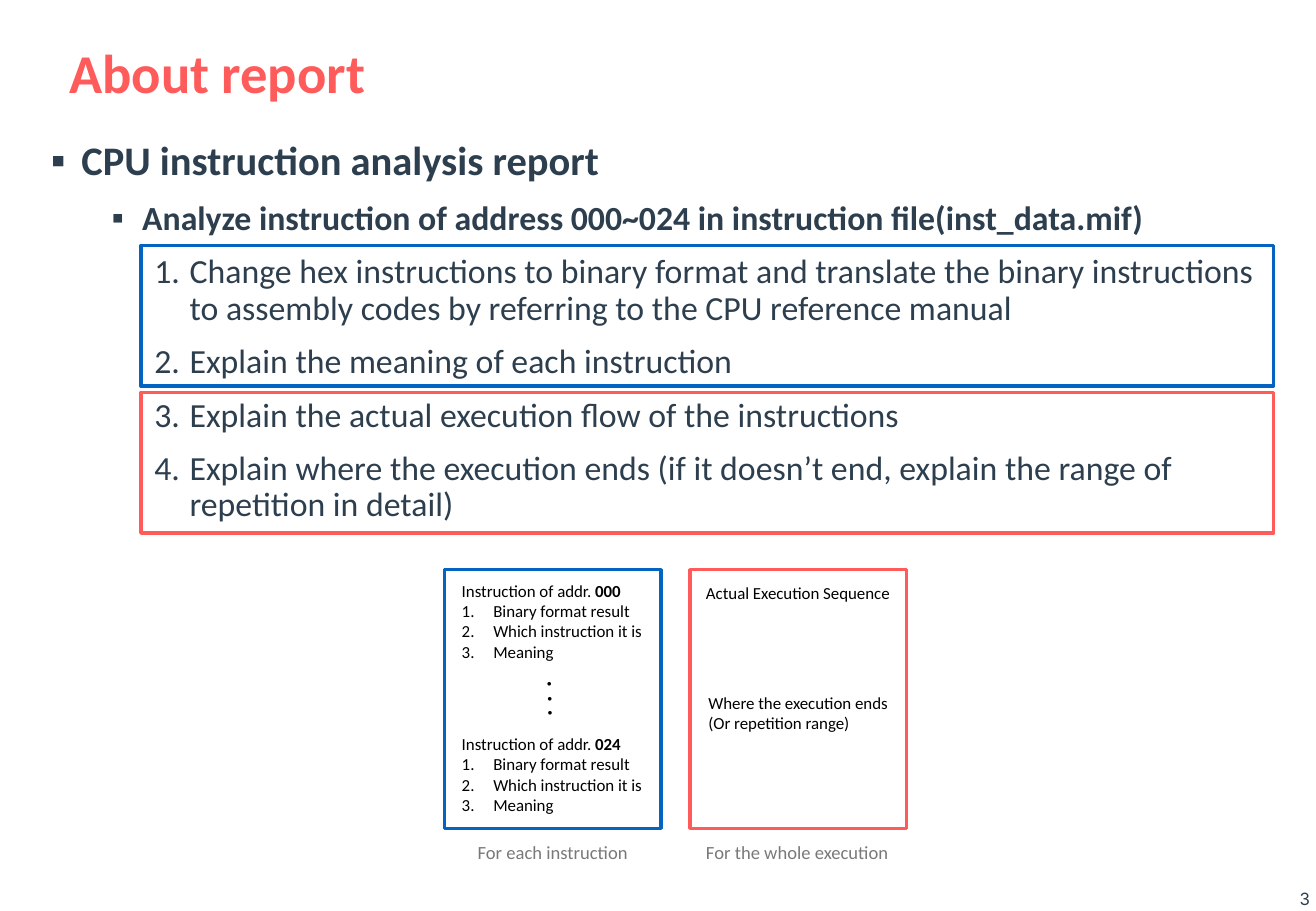
"""Build the "About report" slide."""
from lxml.etree import SubElement
from pptx import Presentation
from pptx.dml.color import RGBColor
from pptx.enum.shapes import MSO_SHAPE
from pptx.enum.text import MSO_ANCHOR, MSO_AUTO_SIZE, PP_ALIGN
from pptx.oxml.ns import qn
from pptx.util import Inches, Pt

CORAL = RGBColor(0xFF, 0x5B, 0x5B)
BLUE = RGBColor(0x05, 0x63, 0xC1)
NAVY = RGBColor(0x2D, 0x3F, 0x4E)
GRAY = RGBColor(0x79, 0x79, 0x79)
BLACK = RGBColor(0, 0, 0)

SQUARE = ("buChar", "char", "\u25aa")
NUMBER = ("buAutoNum", "type", "arabicPeriod")

OUTLINE = [
    (0, 24, True, 0.25, 0.25, SQUARE, "CPU instruction analysis report"),
    (1, 20, True, 0.75, 0.25, SQUARE,
     "Analyze instruction of address 000~024 in instruction file(inst_data.mif)"),
] + [(2, 20, False, 1.14, 0.29, NUMBER, step) for step in (
    "Change hex instructions to binary format and translate the binary "
    "instructions to assembly codes by referring to the CPU reference manual",
    "Explain the meaning of each instruction",
    "Explain the actual execution flow of the instructions",
    "Explain where the execution ends (if it doesn\u2019t end, explain the range "
    "of repetition in detail)",
)]
ADDRESS_STEPS = ["Binary format result", "Which instruction it is", "Meaning"]


class SlideBuilder:
    """Hold the slide and its text style."""

    def __init__(self, slide, font="Calibri"):
        self.slide = slide
        self.font = font

    def place(self, shape, left, top, width, height):
        shape.left, shape.top = Inches(left), Inches(top)
        shape.width, shape.height = Inches(width), Inches(height)

    def frame(self, shape, anchor=MSO_ANCHOR.TOP, wrap=True):
        text_frame = shape.text_frame
        text_frame.auto_size = MSO_AUTO_SIZE.NONE
        text_frame.word_wrap = wrap
        text_frame.vertical_anchor = anchor
        text_frame.margin_left = text_frame.margin_right = Inches(0.05)
        text_frame.margin_top = text_frame.margin_bottom = Inches(0.05)
        return text_frame

    def paragraph(self, text_frame, first):
        return text_frame.paragraphs[0] if first else text_frame.add_paragraph()

    def run(self, paragraph, text, size, color, bold=False, font=None):
        run = paragraph.add_run()
        run.text = text
        run.font.name = font or self.font
        run.font.size = Pt(size)
        run.font.bold = bold
        run.font.color.rgb = color

    def bullet(self, paragraph, margin, hanging, mark):
        tag, attribute, value = mark
        properties = paragraph._p.get_or_add_pPr()
        properties.set("marL", str(Inches(margin)))
        properties.set("indent", str(-Inches(hanging)))
        SubElement(properties, qn("a:buFont")).set("typeface", self.font)
        SubElement(properties, qn(f"a:{tag}")).set(attribute, value)

    def title(self, text, *box):
        shape = self.slide.shapes.title
        self.place(shape, *box)
        paragraph = self.frame(shape, MSO_ANCHOR.MIDDLE).paragraphs[0]
        paragraph.alignment = PP_ALIGN.LEFT
        paragraph.line_spacing = 0.9
        self.run(paragraph, text, 32.4, CORAL, True)

    def body(self, items, *box):
        shape = self.slide.placeholders[1]
        self.place(shape, *box)
        text_frame = self.frame(shape)
        for index, (level, size, bold, margin, hanging, mark, text) in enumerate(items):
            paragraph = self.paragraph(text_frame, index == 0)
            paragraph.level = level
            paragraph.line_spacing = 0.9
            paragraph.space_before = Pt(10)
            self.bullet(paragraph, margin, hanging, mark)
            self.run(paragraph, text, size, NAVY, bold)

    def outline_box(self, color, *box):
        shape = self.slide.shapes.add_shape(
            MSO_SHAPE.RECTANGLE, *[Inches(length) for length in box])
        shape.shadow.inherit = False
        shape.fill.background()
        shape.line.color.rgb = color
        shape.line.width = Pt(2)

    def text(self, lines, *box, size=10, color=BLACK, wrap=True, font=None,
             align=PP_ALIGN.LEFT, rotation=0):
        shape = self.slide.shapes.add_textbox(*[Inches(length) for length in box])
        shape.rotation = rotation
        text_frame = self.frame(shape, wrap=wrap)
        for index, line in enumerate(lines):
            paragraph = self.paragraph(text_frame, index == 0)
            paragraph.alignment = align
            self.run(paragraph, line, size, color, font=font)
        return text_frame

    def address_note(self, address, *box):
        text_frame = self.text(["Instruction of addr. "], *box)
        self.run(text_frame.paragraphs[0], address, 10, BLACK, True)
        for step in ADDRESS_STEPS:
            paragraph = text_frame.add_paragraph()
            self.bullet(paragraph, 0.26, 0.26, NUMBER)
            self.run(paragraph, step, 10, BLACK)


presentation = Presentation()
presentation.slide_width = Inches(10.83)
presentation.slide_height = Inches(7.5)
builder = SlideBuilder(presentation.slides.add_slide(presentation.slide_layouts[1]))

builder.title("About report", 0.52, 0.31, 9.34, 0.62)
builder.body(OUTLINE, 0.37, 1.11, 10.26, 6.16)

for color, step_top, page_left in ((BLUE, 2.02, 3.66), (CORAL, 3.23, 5.68)):
    builder.outline_box(color, 1.16, step_top, 9.32, 1.16)
    builder.outline_box(color, page_left, 4.69, 1.78, 2.13)

for address, top in (("000", 4.73), ("024", 5.99)):
    builder.address_note(address, 3.75, top, 1.6, 0.79)
builder.text([". . ."], 4.42, 5.57, 0.41, 0.37, size=18, rotation=88.5)

builder.text(["Actual Execution Sequence"], 5.76, 4.75, 1.65, 0.98)
builder.text(["Where the execution ends", "(Or repetition range)"],
             5.78, 5.65, 1.6, 0.43)

for caption, left, width in (("For each instruction", 3.88, 1.35),
                             ("For the whole execution", 5.76, 1.61)):
    builder.text([caption], left, 6.87, width, 0.25, size=11, color=GRAY, wrap=False)
builder.text(["3"], 10.64, 7.27, 0.19, 0.27, color=NAVY, wrap=False,
             font="Inter", align=PP_ALIGN.RIGHT)

presentation.save("out.pptx")
